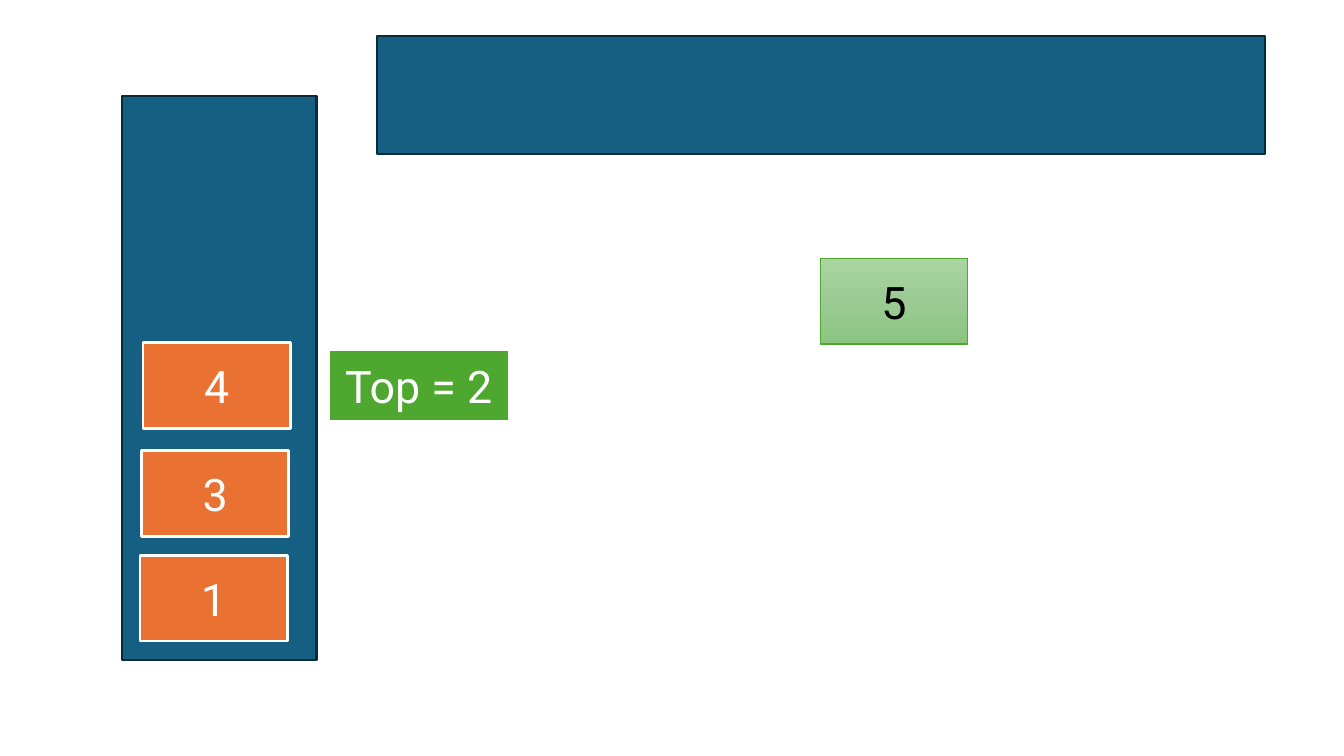
from copy import deepcopy

from pptx import Presentation
from pptx.dml.color import RGBColor
from pptx.enum.shapes import MSO_SHAPE as Shape
from pptx.enum.text import MSO_ANCHOR as Anchor, PP_ALIGN as Align
from pptx.oxml.ns import qn
from pptx.util import Pt

COLORS = {
    "container": "156082",
    "container_edge": "092A39",
    "item": "E97132",
    "pointer": "4EA72E",
    "white": "FFFFFF",
    "black": "000000",
}
INCOMING_GRADIENT = [(0, "A8D5A0"), (0.5, "9CCA94"), (1, "8AC680")]
ITEM_SIZE = (105.1, 61.2)


def rgb(name):
    return RGBColor.from_string(COLORS[name])


def add_box(slide, left, top, width, height, edge, edge_width, fill=None):
    box = slide.shapes.add_shape(
        Shape.RECTANGLE, Pt(left), Pt(top), Pt(width), Pt(height))
    box.shadow.inherit = False
    if fill:
        box.fill.solid()
        box.fill.fore_color.rgb = rgb(fill)
    box.line.color.rgb = rgb(edge)
    box.line.width = Pt(edge_width)
    return box


def write_text(box, text, color="white", size=32, font="Roboto"):
    frame = box.text_frame
    frame.word_wrap = True
    frame.vertical_anchor = Anchor.MIDDLE
    label = frame.paragraphs[0]
    label.alignment = Align.CENTER
    run = label.add_run()
    run.text = text
    run.font.size = Pt(size)
    run.font.name = font
    run.font.color.rgb = rgb(color)


def fill_downward(box, stops):
    """Fill a box with a three-stop gradient running from top to bottom."""
    box.fill.gradient()
    box.fill.gradient_angle = 270
    stop_list = box.fill._xPr.find(qn("a:gradFill")).find(qn("a:gsLst"))
    stop_list.insert(1, deepcopy(stop_list[0]))
    for stop, (position, color) in zip(box.fill.gradient_stops, stops):
        stop.position = position
        stop.color.rgb = RGBColor.from_string(color)


def main():
    deck = Presentation()
    deck.slide_width, deck.slide_height = Pt(960), Pt(540)
    slide = deck.slides.add_slide(deck.slide_layouts[6])

    # Empty output bar and the stack
    for place in [(269.3, 26, 634.3, 84.2), (87.1, 68.4, 139, 403.2)]:
        add_box(slide, *place, "container_edge", 1.5, "container")

    # Items on the stack, bottom to top
    for value, left, top in [("1", 100.1, 396.7), ("3", 101.2, 322),
                             ("4", 102.2, 244.8)]:
        item = add_box(slide, left, top, *ITEM_SIZE, "white", 2, "item")
        write_text(item, value)

    # Incoming item
    incoming = add_box(slide, 586.1, 184.5, *ITEM_SIZE, "pointer", 1)
    fill_downward(incoming, INCOMING_GRADIENT)
    write_text(incoming, "5", color="black")

    # Top pointer
    pointer = add_box(slide, 234.7, 249.8, 128.9, 51.1, "white", 2, "pointer")
    write_text(pointer, "Top = 2")

    deck.save("out.pptx")


if __name__ == "__main__":
    main()
